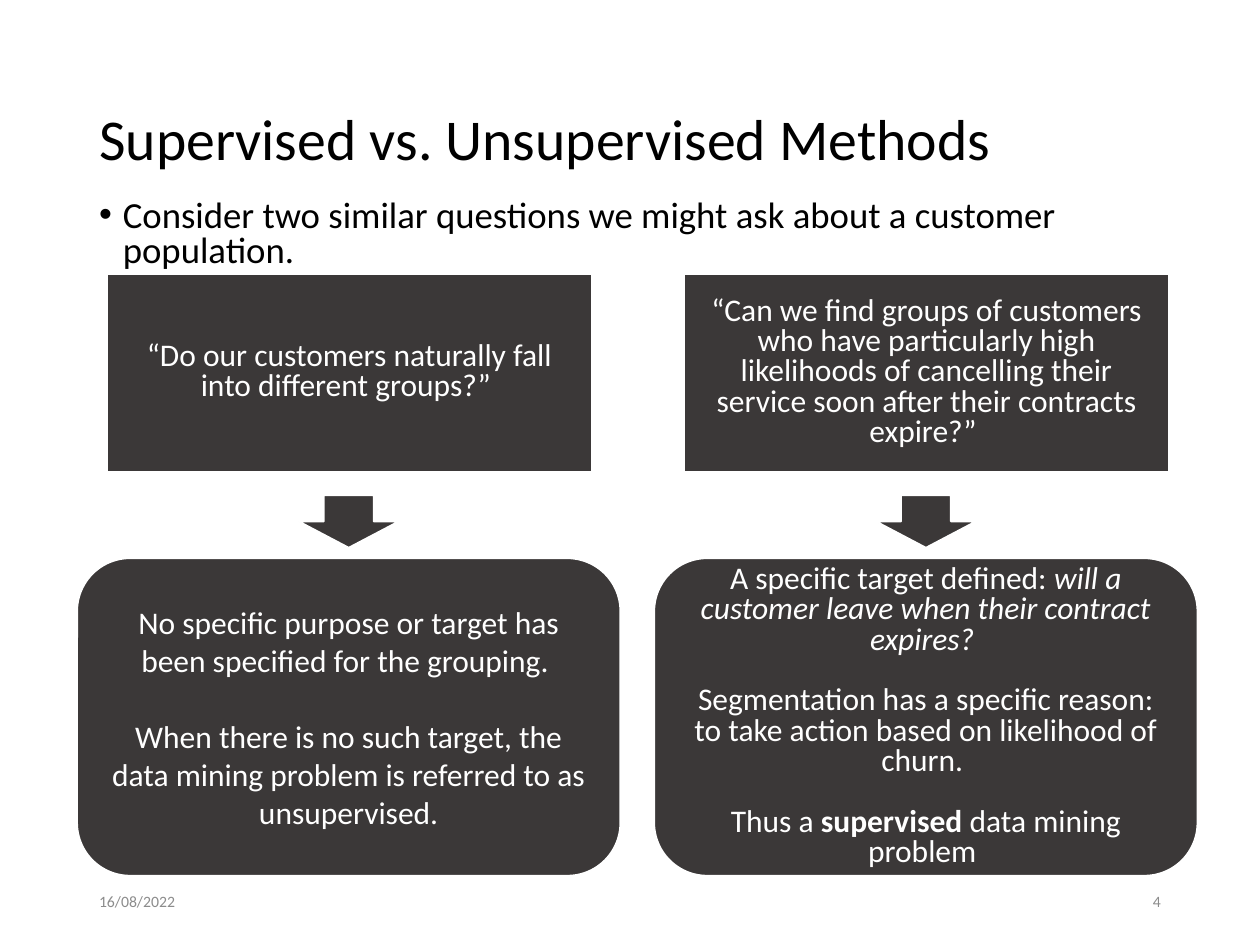
from pptx import Presentation
from pptx.dml.color import RGBColor
from pptx.enum import shapes, text
from pptx.util import Pt

KIND = shapes.MSO_SHAPE
ALIGN = text.PP_ALIGN
BLACK, WHITE, DARK, GREY = "000000", "FFFFFF", "3B3838", "8C8C8C"


def color(code):
    return RGBColor.from_string(code)


def write(frame, paras, size=18, ink=WHITE, align=ALIGN.CENTER, line=1.0,
          before=0, gap=0, anchor=text.MSO_ANCHOR.MIDDLE):
    frame.word_wrap = True
    frame.auto_size = text.MSO_AUTO_SIZE.NONE
    frame.vertical_anchor = anchor
    for i, runs in enumerate(paras):
        para = frame.add_paragraph() if i else frame.paragraphs[0]
        para.alignment = align
        para.line_spacing = line
        para.space_before = Pt(gap if i else before)
        for part in runs:
            words, style = (part, "") if isinstance(part, str) else part
            run = para.add_run()
            run.text = words
            font = run.font
            font.name, font.size = "Calibri", Pt(size)
            font.color.rgb = color(ink)
            font.bold, font.italic = style == "bold", style == "italic"


class Deck:
    def __init__(self, wide, high):
        self.file = Presentation()
        self.file.slide_width, self.file.slide_height = Pt(wide), Pt(high)
        self.slide = self.file.slides.add_slide(self.file.slide_layouts[1])

    def holder(self, index, box, words, **form):
        item = self.slide.placeholders[index]
        item.left, item.top, item.width, item.height = map(Pt, box)
        write(item.text_frame, [[words]], align=ALIGN.LEFT, ink=BLACK, **form)
        return item

    def title(self, box, words):
        self.holder(0, box, words, size=33, line=0.9)

    def bullet(self, box, words):
        item = self.holder(1, box, words, size=21, line=0.8, before=7.5,
                           anchor=text.MSO_ANCHOR.TOP)
        props = item.text_frame.paragraphs[0]._p.get_or_add_pPr()
        props.set("marL", str(Pt(13.5)))
        props.set("indent", str(-Pt(13.5)))

    def label(self, box, words, align):
        item = self.slide.shapes.add_textbox(*map(Pt, box))
        write(item.text_frame, [[words]], size=9, ink=GREY, align=align)

    def block(self, kind, box, paras=(), **form):
        item = self.slide.shapes.add_shape(kind, *map(Pt, box))
        item.shadow.inherit = False
        item.fill.solid()
        item.fill.fore_color.rgb = color(DARK)
        item.line.color.rgb = color(WHITE)
        item.line.width = Pt(1)
        write(item.text_frame, paras, **form)


def main():
    deck = Deck(720, 540)
    deck.title((49.5, 28.75, 621, 104.4), "Supervised vs. Unsupervised Methods")
    deck.bullet((49.5, 110.9, 621, 375.8),
                "Consider two similar questions we might ask about a customer population.")
    deck.label((49.5, 500.5, 162, 28.75), "16/08/2022", ALIGN.LEFT)
    deck.label((508.5, 500.5, 162, 28.75), "4", ALIGN.RIGHT)

    columns = [
        ("“Do our customers naturally fall into different groups?” ",
         [["No specific purpose or target has been specified for the grouping. "],
          ["When there is no such target, the data mining problem is referred to "
           "as unsupervised."]],
         1.0, 22),
        ("“Can we find groups of customers who have particularly high likelihoods "
         "of cancelling their service soon after their contracts expire?” ",
         [["A specific target defined: ",
           ("will a customer leave when their contract expires? ", "italic")],
          ["Segmentation has a specific reason: to take action based on "
           "likelihood of churn. "],
          ["Thus a ", ("supervised ", "bold"), "data mining problem "]],
         0.8, 17.5),
    ]
    for i, (ask, answer, line, gap) in enumerate(columns):
        mid = 199.3 + i * 329.8
        deck.block(KIND.RECTANGLE, (mid - 138.1, 156.5, 277, 113), [[ask]], line=0.8)
        deck.block(KIND.DOWN_ARROW, (mid - 28.5, 283, 57, 30))
        deck.block(KIND.ROUNDED_RECTANGLE, (mid - 155.2, 319, 310.4, 181.4),
                   answer, line=line, gap=gap)
    deck.file.save("out.pptx")


if __name__ == "__main__":
    main()
